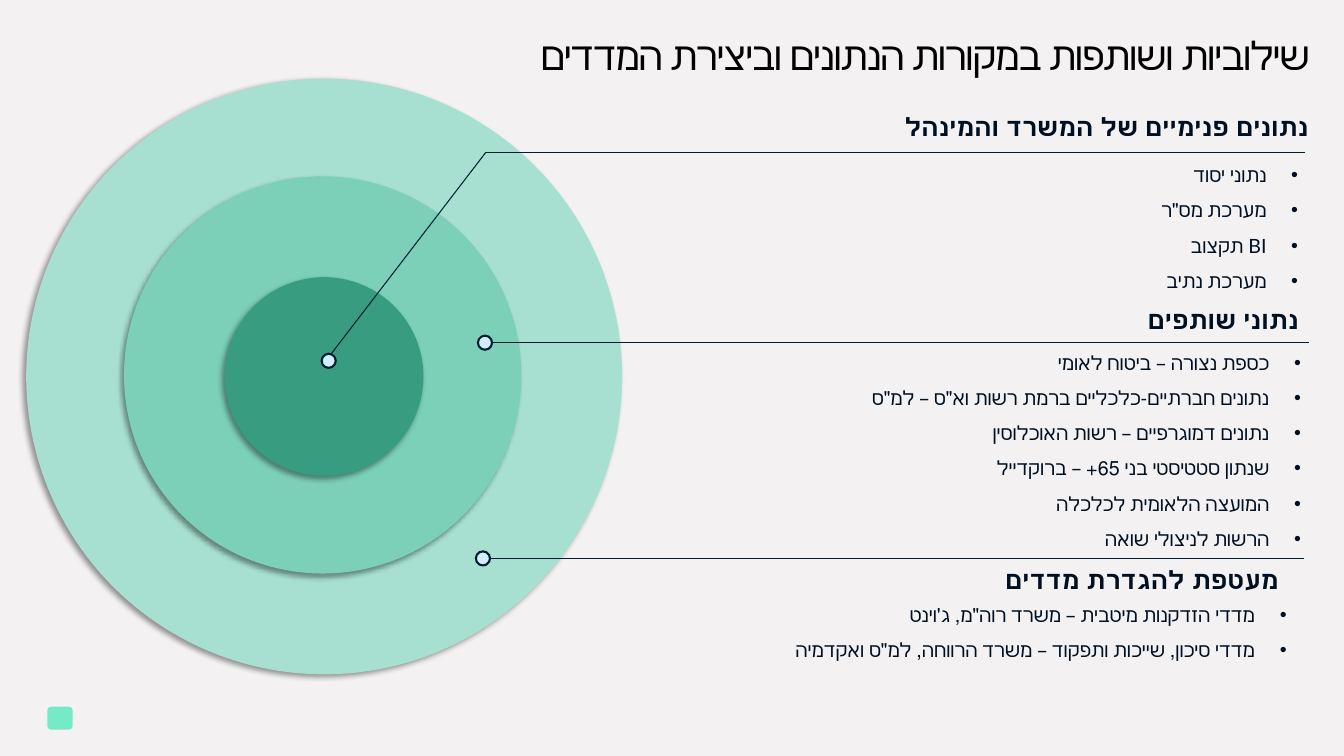
from lxml import etree
from pptx import Presentation
from pptx.dml.color import RGBColor
from pptx.enum.shapes import MSO_CONNECTOR, MSO_SHAPE
from pptx.enum.text import MSO_ANCHOR, MSO_AUTO_SIZE, PP_ALIGN
from pptx.oxml.ns import qn
from pptx.util import Inches, Pt

STRAIGHT = MSO_CONNECTOR.STRAIGHT
OVAL, ROUNDED = MSO_SHAPE.OVAL, MSO_SHAPE.ROUNDED_RECTANGLE
TOP, MIDDLE = MSO_ANCHOR.TOP, MSO_ANCHOR.MIDDLE
FIXED, GROW = MSO_AUTO_SIZE.NONE, MSO_AUTO_SIZE.SHAPE_TO_FIT_TEXT
RIGHT = PP_ALIGN.RIGHT
FONT = "Lato"
COLORS = {
    "background": "F3F1F2", "title": "000000", "text": "001021",
    "outer": "A7E0D0", "middle": "7CD0B8", "core": "389D80",
    "line": "001E2F", "dot": "D1EEFF", "emblem": "74EBC6",
}


def color(name):
    return RGBColor.from_string(COLORS[name])


def write_text(shape, lines, size, color_name="text", bold=False, bullets=False,
               anchor=TOP, line_spacing=None, tracking=None, auto_size=GROW):
    """Fill a shape with right-to-left paragraphs, one per line."""
    frame = shape.text_frame
    frame.word_wrap = True
    frame.auto_size = auto_size
    frame.vertical_anchor = anchor
    for index, line in enumerate(lines):
        paragraph = frame.add_paragraph() if index else frame.paragraphs[0]
        properties = paragraph._p.get_or_add_pPr()
        properties.set("rtl", "1")
        if bullets:
            properties.set("marL", str(Inches(0.31)))
            properties.set("indent", str(-Inches(0.31)))
            etree.SubElement(properties, qn("a:buFont"), typeface="Arial")
            etree.SubElement(properties, qn("a:buChar"), char="•")
        paragraph.alignment = RIGHT
        if line_spacing:
            paragraph.line_spacing = line_spacing
        run = paragraph.add_run()
        run.text = line
        run.font.size = Pt(size)
        run.font.bold = bold
        run.font.name = FONT
        run.font.color.rgb = color(color_name)
        if tracking:
            run._r.get_or_add_rPr().set("spc", str(tracking))


presentation = Presentation()
presentation.slide_width = Inches(13.33)
presentation.slide_height = Inches(7.5)
slide = presentation.slides.add_slide(presentation.slide_layouts[5])
slide.background.fill.solid()
slide.background.fill.fore_color.rgb = color("background")
shapes = slide.shapes

title = shapes.title
title.left, title.top = Inches(0.86), Inches(0.35)
title.width, title.height = Inches(12.23), Inches(0.76)
write_text(title, ["שילוביות ושותפות במקורות הנתונים וביצירת המדדים"], 28, color_name="title",
           line_spacing=0.8, tracking=-80, auto_size=FIXED)

# Emblem in the corner
emblem = shapes.add_shape(ROUNDED, Inches(0.47), Inches(7.01), Inches(0.25), Inches(0.23))
emblem.shadow.inherit = False
emblem.fill.solid()
emblem.fill.fore_color.rgb = color("emblem")
emblem.line.fill.background()

# Concentric rings: left, top, diameter
for name, left, top, diameter in [("outer", 0.26, 0.78, 5.91), ("middle", 1.23, 1.75, 3.94),
                                  ("core", 2.23, 2.75, 1.97)]:
    ring = shapes.add_shape(OVAL, Inches(left), Inches(top), Inches(diameter), Inches(diameter))
    ring.shadow.inherit = False
    ring.fill.solid()
    ring.fill.fore_color.rgb = color(name)
    ring.line.fill.background()
    effects = ring._element.spPr.find(qn("a:effectLst"))
    shadow = etree.SubElement(effects, qn("a:outerShdw"), blurRad=str(Pt(4)), dist=str(Pt(3)),
                              dir=str(135 * 60000), algn="tr", rotWithShape="0")
    shadow_color = etree.SubElement(shadow, qn("a:srgbClr"), val="000000")
    etree.SubElement(shadow_color, qn("a:alpha"), val="40000")

# Sections: heading, its left and top, bullets, their left, top and height
sections = [
    ("נתונים פנימיים של המשרד והמינהל", 7.38, 1.06,
     ["נתוני יסוד", "מערכת מס\"ר", "BI תקצוב", "מערכת נתיב"], 7.68, 1.46, 1.48),
    ("נתוני שותפים", 7.28, 2.97,
     ["כספת נצורה – ביטוח לאומי",
      "נתונים חברתיים-כלכליים ברמת רשות וא\"ס – למ\"ס",
      "נתונים דמוגרפיים – רשות האוכלוסין",
      "שנתון סטטיסטי בני 65+ – ברוקדייל",
      "המועצה הלאומית לכלכלה",
      "הרשות לניצולי שואה"], 7.71, 3.32, 2.18),
    ("מעטפת להגדרת מדדים", 7.08, 5.55,
     ["מדדי הזדקנות מיטבית – משרד רוה\"מ, ג'וינט",
      "מדדי סיכון, שייכות ותפקוד – משרד הרווחה, למ\"ס ואקדמיה"], 7.57, 5.83, 0.77),
]
for heading, heading_left, heading_top, items, left, top, height in sections:
    heading_box = shapes.add_textbox(Inches(heading_left), Inches(heading_top), Inches(5.7), Inches(0.4))
    write_text(heading_box, [heading], 18, bold=True)
    items_box = shapes.add_textbox(Inches(left), Inches(top), Inches(5.29), Inches(height))
    write_text(items_box, items, 14, bullets=True, anchor=MIDDLE, line_spacing=1.5)

# Leader lines: start x, start y, end x, end y
for start_x, start_y, end_x, end_y in [(4.82, 1.51, 12.94, 1.51), (3.27, 3.53, 4.82, 1.51),
                                       (4.86, 3.4, 12.98, 3.4), (4.8, 5.54, 12.93, 5.54)]:
    leader = shapes.add_connector(STRAIGHT, Inches(start_x), Inches(start_y), Inches(end_x), Inches(end_y))
    leader.line.color.rgb = color("line")
    leader.line.width = Pt(0.75)
    etree.SubElement(leader._element.spPr, qn("a:effectLst"))

# Dots where the leaders meet the rings
for left, top in [(3.19, 3.51), (4.74, 3.33), (4.72, 5.47)]:
    dot = shapes.add_shape(OVAL, Inches(left), Inches(top), Inches(0.14), Inches(0.14))
    dot.shadow.inherit = False
    dot.fill.solid()
    dot.fill.fore_color.rgb = color("dot")
    dot.line.color.rgb = color("line")
    dot.line.width = Pt(1.5)

presentation.save("out.pptx")
